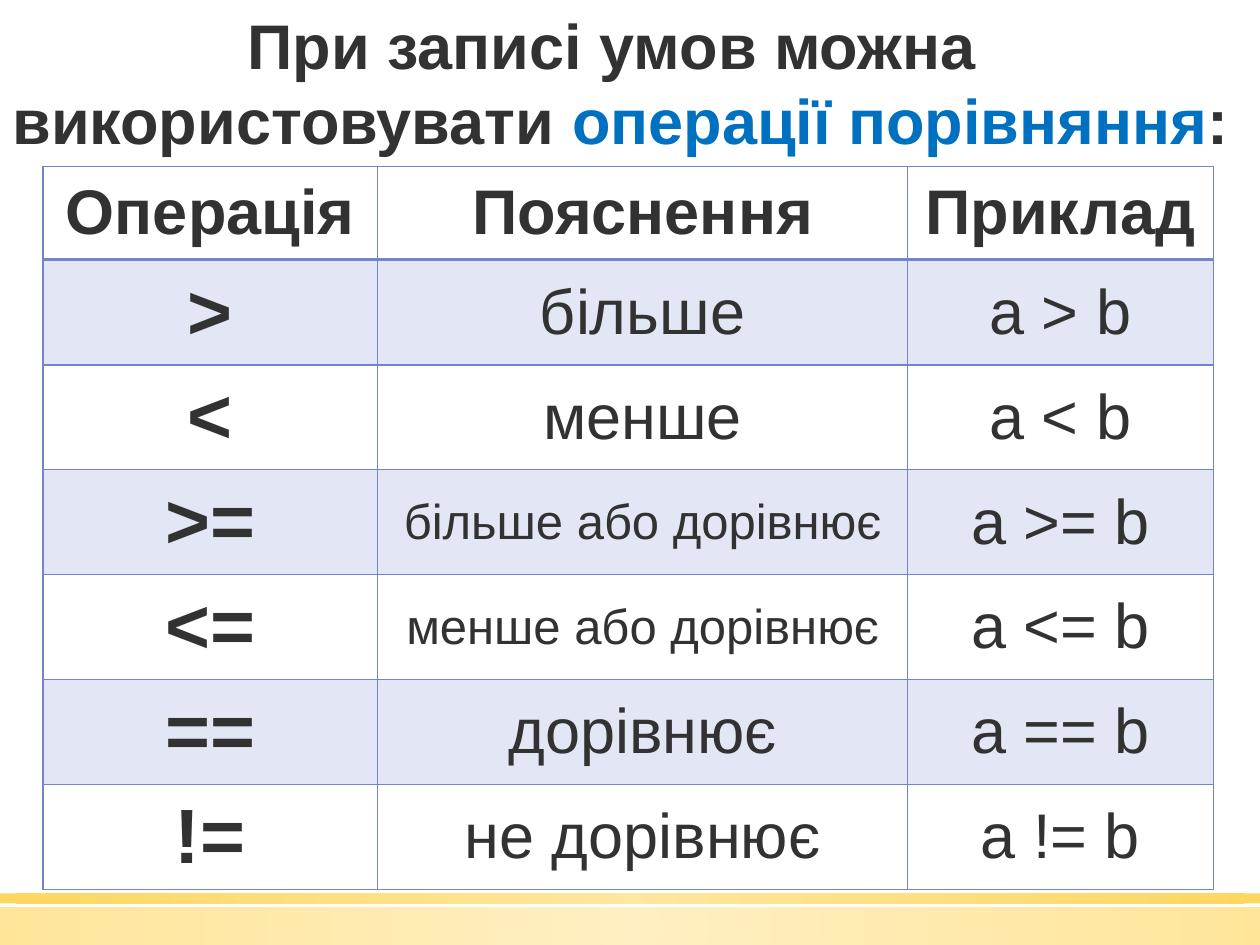
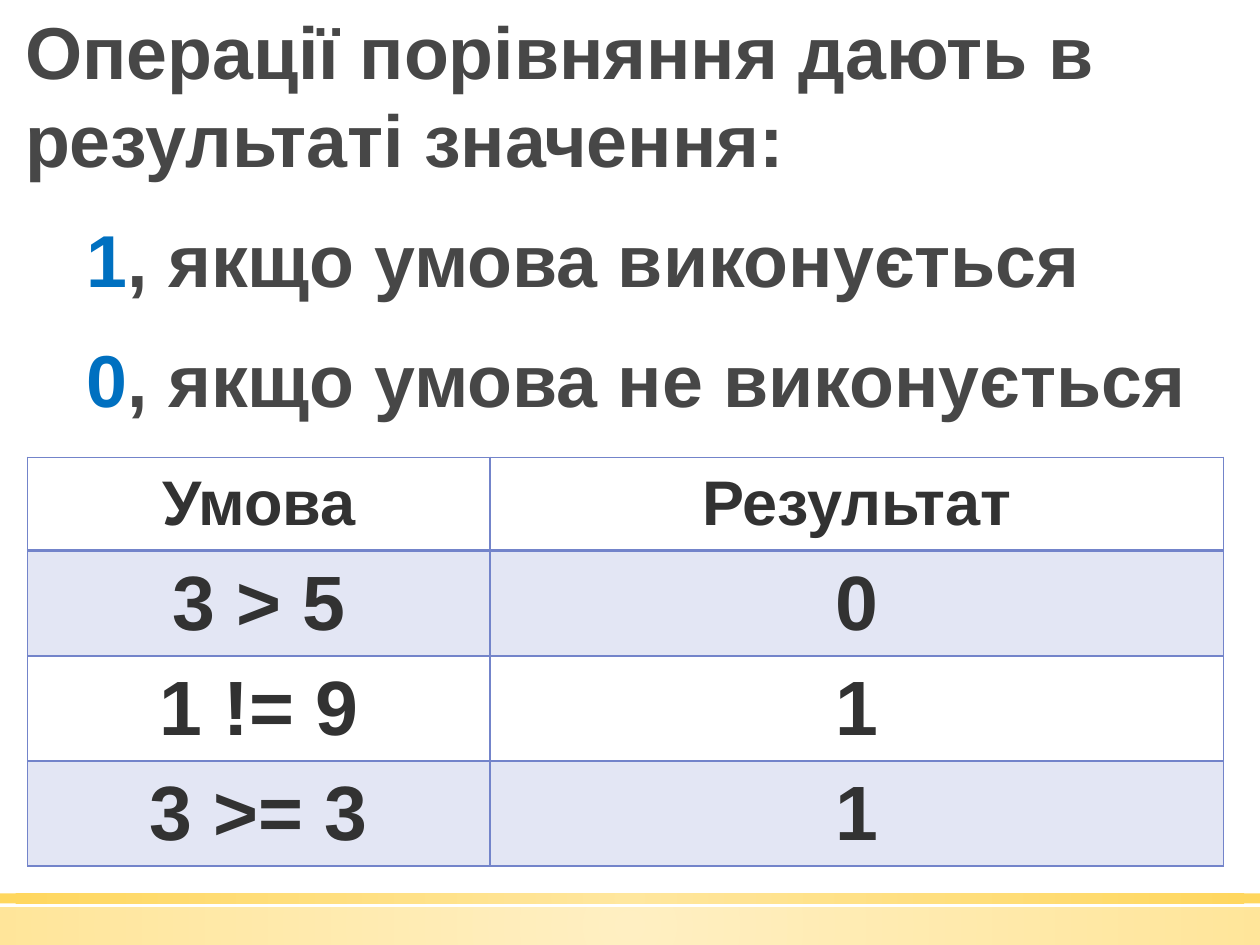
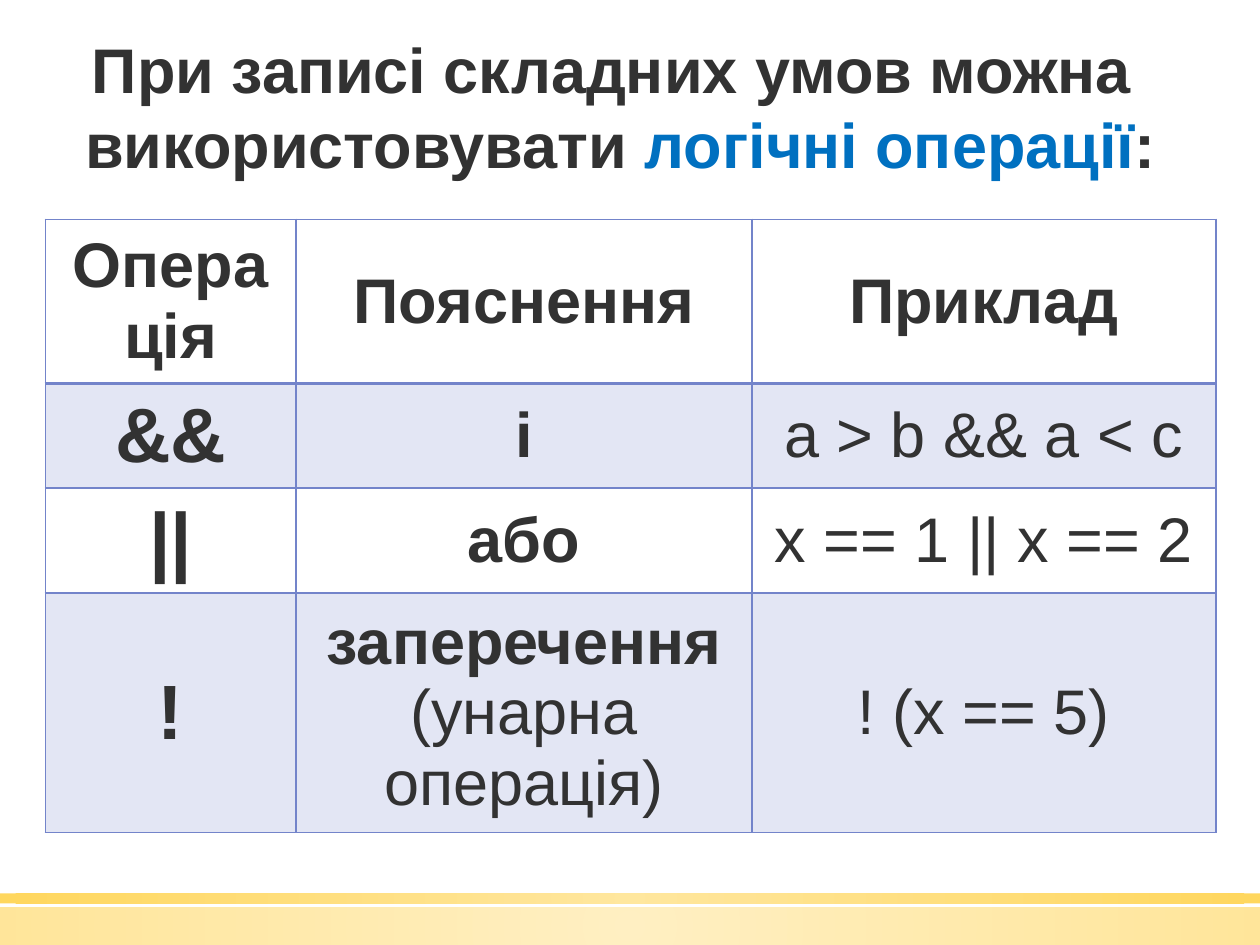
from dataclasses import dataclass, replace

from lxml.etree import SubElement
from pptx import Presentation
from pptx.dml.color import RGBColor
from pptx.enum.shapes import MSO_SHAPE as Preset
from pptx.enum.text import MSO_ANCHOR as Anchor, MSO_AUTO_SIZE as AutoSize, PP_ALIGN as Align
from pptx.oxml import parse_xml
from pptx.oxml.ns import nsdecls, qn
from pptx.util import Inches, Pt

TITLE_ONLY, BLANK = 5, 6


@dataclass(frozen=True)
class Theme:
    """Colours, font and type sizes of the whole presentation."""
    font: str = "Arial"
    ink: str = "323232"
    grey: str = "474747"
    accent: str = "0070C0"
    grid: str = "7384CA"
    band_center: str = "FFE186"
    band_edge: str = "FFCD36"
    tint: int = 20
    small: int = 28
    normal: int = 36
    large: int = 42
    symbol: int = 44
    paragraph_gap: int = 18
    title_inset: float = 0.05


@dataclass(frozen=True)
class Style:
    """Format of a piece of text."""
    size: int
    bold: bool = True
    color: str = Theme.ink


@dataclass(frozen=True)
class Box:
    """A region, in hundredths of the slide's width and height."""
    left: float
    top: float
    width: float
    height: float

    def lengths(self):
        """Return left, top, width and height as slide lengths."""
        shares = (self.left, self.top, self.width, self.height)
        sides = (presentation.slide_width, presentation.slide_height) * 2
        return [round(side * share / 100) for side, share in zip(sides, shares)]


THEME = Theme()
HEADING = Style(THEME.normal)
ACCENT = replace(HEADING, color=THEME.accent)
PLAIN = Style(THEME.normal, bold=False)
SMALL = Style(THEME.small, bold=False)
SYMBOL = Style(THEME.symbol)
STATEMENT = Style(THEME.large, color=THEME.grey)
VALUE = replace(STATEMENT, color=THEME.accent)


def place(shape, box):
    """Move a shape into a box."""
    shape.left, shape.top, shape.width, shape.height = box.lengths()


def write(paragraph, pieces, align=Align.CENTER):
    """Fill a paragraph with (text, style) pieces; a newline breaks the line."""
    paragraph.alignment = align
    for text, style in pieces:
        for index, line in enumerate(text.split("\n")):
            if index:
                paragraph.add_line_break()
            if not line:
                continue
            run = paragraph.add_run()
            run.text = line
            run.font.name = THEME.font
            run.font.size = Pt(style.size)
            run.font.bold = style.bold
            run.font.color.rgb = RGBColor.from_string(style.color)


def add_band(slide, box, opacity):
    """Draw a band with a round gradient and move it to the slide master."""
    band = slide.shapes.add_shape(Preset.RECTANGLE, *box.lengths())
    band.shadow.inherit = False
    band.line.fill.background()
    stops = "".join(
        f'<a:gs pos="{position}"><a:srgbClr val="{color}">'
        f'<a:alpha val="{opacity * 1000}"/></a:srgbClr></a:gs>'
        for position, color in ((0, THEME.band_center), (100000, THEME.band_edge)))
    gradient = parse_xml(
        f'<a:gradFill {nsdecls("a")} rotWithShape="1"><a:gsLst>{stops}</a:gsLst>'
        '<a:path path="circle"><a:fillToRect l="50000" t="50000" r="50000" b="50000"/>'
        '</a:path></a:gradFill>')
    band.element.spPr.find(qn("a:prstGeom")).addnext(gradient)
    band.element.nvSpPr.cNvPr.set("id", str(100 + opacity))
    presentation.slide_master.shapes.element.insert(2, band.element)


def add_title(slide, box, pieces):
    """Place the title placeholder and write its coloured pieces."""
    title = slide.shapes.title
    place(title, box)
    frame = title.text_frame
    frame.word_wrap = True
    frame.auto_size = AutoSize.NONE
    frame.vertical_anchor = Anchor.TOP
    frame.margin_left = frame.margin_right = Inches(THEME.title_inset)
    write(frame.paragraphs[0], pieces)


def add_statements(slide, box, statements):
    """Write statements, given as (indent in inches, pieces), one below another."""
    frame = slide.shapes.add_textbox(*box.lengths()).text_frame
    frame.word_wrap = True
    for index, (indent, pieces) in enumerate(statements):
        paragraph = frame.add_paragraph() if index else frame.paragraphs[0]
        write(paragraph, pieces, align=Align.LEFT)
        paragraph.space_before = Pt(THEME.paragraph_gap if index else 0)
        properties = paragraph._p.get_or_add_pPr()
        properties.set("marL", str(Inches(indent)))
        properties.set("indent", "0")


def set_borders(cell, widths):
    """Give a cell its borders; widths are points for left, right, top, bottom."""
    properties = cell._tc.get_or_add_tcPr()
    for index, (side, width) in enumerate(zip("LRTB", widths)):
        properties.insert(index, parse_xml(
            f'<a:ln{side} {nsdecls("a")} w="{Pt(width)}"><a:solidFill>'
            f'<a:srgbClr val="{THEME.grid}"/></a:solidFill></a:ln{side}>'))


def add_grid(slide, box, column_weights, row_weights, header, column_styles, rows):
    """Draw a table; a body cell is text, or a list of (text, style) pieces."""
    left, top, width, height = box.lengths()
    table = slide.shapes.add_table(
        len(rows) + 1, len(header), left, top, width, height).table
    table.first_row = table.horz_banding = False
    for column, weight in zip(table.columns, column_weights):
        column.width = round(width * weight / sum(column_weights))
    for row, weight in zip(table.rows, row_weights):
        row.height = round(height * weight / sum(row_weights))
    for row_index, texts in enumerate([header, *rows]):
        styles = column_styles if row_index else [HEADING] * len(header)
        for column_index, (content, style) in enumerate(zip(texts, styles)):
            cell = table.cell(row_index, column_index)
            cell.vertical_anchor = Anchor.MIDDLE
            pieces = [(content, style)] if isinstance(content, str) else content
            write(cell.text_frame.paragraphs[0], pieces)
            if row_index % 2:
                cell.fill.solid()
                cell.fill.fore_color.rgb = RGBColor.from_string(THEME.grid)
                color = cell._tc.tcPr.find(".//" + qn("a:srgbClr"))
                SubElement(color, qn("a:alpha")).set("val", str(THEME.tint * 1000))
            else:
                cell.fill.background()
            set_borders(cell, (1, 1, 2 if row_index == 1 else 1, 1 if row_index else 2))


def add_slide(layout):
    """Add a slide with the layout of the given index."""
    return presentation.slides.add_slide(presentation.slide_layouts[layout])


def build_comparison_slide():
    """Slide with the comparison operators."""
    slide = add_slide(TITLE_ONLY)
    add_title(slide, Box(0, 0, 98.5, 17.47), [
        ("При записі умов можна \nвикористовувати ", HEADING),
        ("операції порівняння", ACCENT), (":", HEADING)])
    meanings = {
        ">": "більше", "<": "менше",
        ">=": [("більше або дорівнює", SMALL)],
        "<=": [("менше або дорівнює", SMALL)],
        "==": "дорівнює", "!=": "не дорівнює"}
    add_grid(
        slide, Box(3.4, 17.6, 92.9, 76.53), (2.66, 4.21, 2.43),
        [0.74] + [0.83] * len(meanings),
        ("Операція", "Пояснення", "Приклад"), (SYMBOL, PLAIN, PLAIN),
        [(sign, meaning, f"a {sign} b") for sign, meaning in meanings.items()])
    return slide


def build_result_slide():
    """Slide with the values that comparisons give."""
    slide = add_slide(BLANK)
    add_statements(slide, Box(0.5, 0, 99.5, 11.87), [
        (0.05, [("Операції порівняння дають в результаті значення:", STATEMENT)]),
        (0.54, [("1", VALUE), (", якщо умова виконується", STATEMENT)]),
        (0.54, [("0", VALUE), (", якщо умова не виконується", STATEMENT)])])
    add_grid(
        slide, Box(2.2, 48.4, 94.9, 43.2), (3.67, 5.82), (0.74, 0.83, 0.83, 0.83),
        ("Умова", "Результат"), (SYMBOL, SYMBOL),
        [("3 > 5", "0"), ("1 != 9", "1"), ("3 >= 3", "1")])


def build_logic_slide():
    """Slide with the logical operators."""
    slide = add_slide(TITLE_ONLY)
    add_title(slide, Box(0, 2.53, 98.5, 17.47), [
        ("При записі складних умов можна \nвикористовувати ", HEADING),
        ("логічні операції", ACCENT), (":", HEADING)])
    negation = [("заперечення\n", HEADING), ("(унарна операція)", PLAIN)]
    add_grid(
        slide, Box(3.6, 23.2, 92.9, 64.93), (1.99, 3.62, 3.68), (1.3, 0.83, 0.83, 1.9),
        ("Операція", "Пояснення", "Приклад"), (SYMBOL, HEADING, PLAIN),
        [("&&", "і", "a > b && a < c"),
         ("||", "або", "x == 1 || x == 2"),
         ("!", negation, "! (x == 5)")])


presentation = Presentation()
presentation.slide_width, presentation.slide_height = Inches(10), Inches(7.5)
first_slide = build_comparison_slide()
add_band(first_slide, Box(0, 94.53, 100, 1.07), opacity=80)
add_band(first_slide, Box(0, 96, 100, 4), opacity=50)
build_result_slide()
build_logic_slide()
presentation.save("out.pptx")
